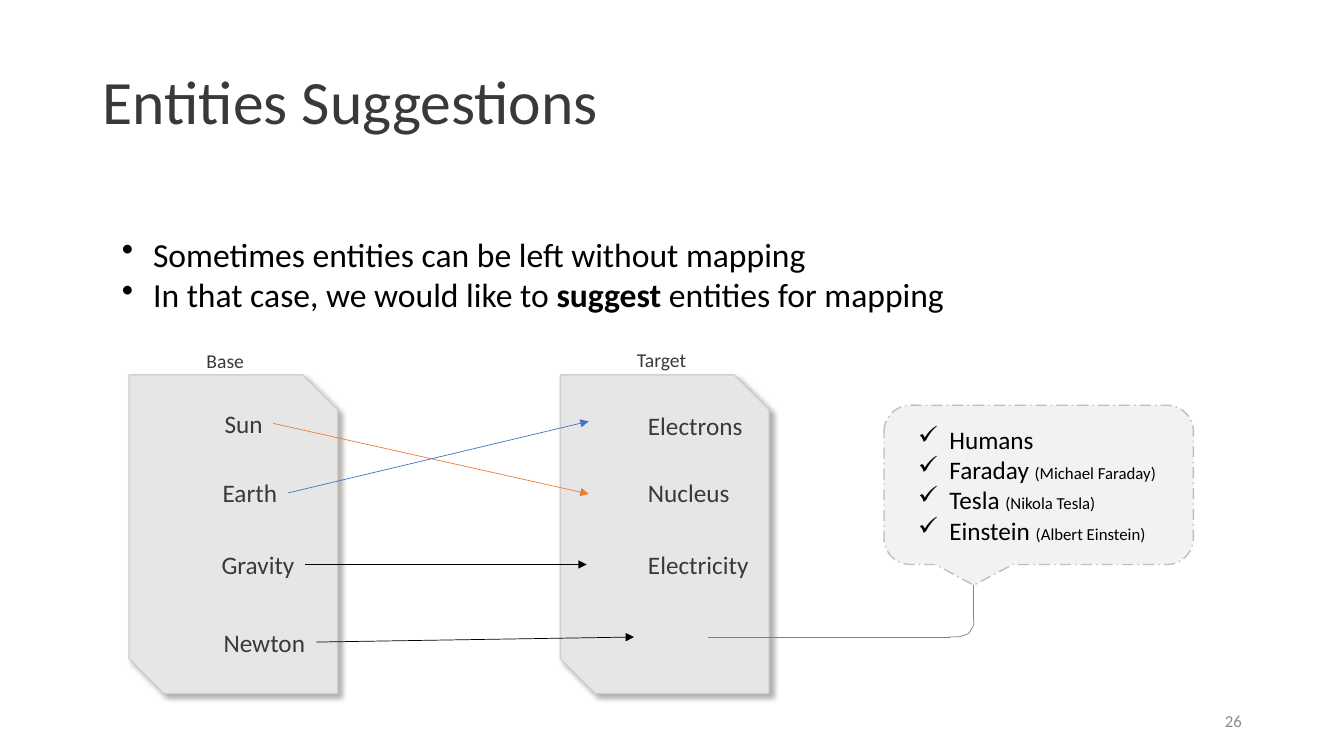
from lxml import etree
from pptx import Presentation, util as u
from pptx.dml import color as c
from pptx.enum import dml, shapes, text
from pptx.oxml import ns

HUES = {
    "ink": "3B3838", "black": "000000", "page": "8C8C8C", "wire": "808080",
    "panel": "E7E6E6", "edge": "D0CECE", "shade": "AFABAB",
    "note": "F2F2F2", "dash": "BFBFBF", "orange": "ED7D31", "blue": "4472C4",
}
COLS, ROWS = 40, 22.5


def rgb(hue):
    return c.RGBColor.from_string(HUES[hue])


def node(up, tag, **attrs):
    """Append a drawing element to an XML parent."""
    sub = etree.SubElement(up, ns.qn("a:" + tag))
    for key, val in attrs.items():
        sub.set(key, str(val))
    return sub


def write(frame, paras, size=18, hue="ink", align=None, lead=None, mark=None):
    """Fill a frame; each paragraph is a list of (words, size, bold) runs."""
    for i, runs in enumerate(paras):
        para = frame.add_paragraph() if i else frame.paragraphs[0]
        para.alignment = align
        para.line_spacing = lead
        if mark:
            props = para._p.get_or_add_pPr()
            props.set("marL", str(u.Inches(0.31)))
            props.set("indent", str(-u.Inches(0.31)))
            node(props, "buChar", char=mark)
        for words, own, bold in runs:
            run = para.add_run()
            run.text = words
            run.font.name = "Calibri"
            run.font.size = u.Pt(own or size)
            run.font.bold = bold
            run.font.color.rgb = rgb(hue)


class Board:
    """Holds the slide and its grid of 40 columns by 22.5 rows."""

    def __init__(self, deck):
        self.slide = deck.slides.add_slide(deck.slide_layouts[6])
        self.items = self.slide.shapes
        self.col = deck.slide_width / COLS
        self.row = deck.slide_height / ROWS

    def place(self, *spots):
        """Turn alternating columns and rows into lengths."""
        return [round(n * (self.row if i % 2 else self.col))
                for i, n in enumerate(spots)]

    def label(self, spot, paras, wrap=False, **style):
        box = self.items.add_textbox(*self.place(*spot))
        frame = box.text_frame
        frame.word_wrap = wrap
        if wrap:
            frame.vertical_anchor = text.MSO_ANCHOR.MIDDLE
        else:
            frame.auto_size = text.MSO_AUTO_SIZE.SHAPE_TO_FIT_TEXT
        if isinstance(paras, str):
            paras = [[(paras, None, None)]]
        write(frame, paras, **style)
        return box

    def block(self, kind, spot, fill, edge):
        item = self.items.add_shape(kind, *self.place(*spot))
        item.shadow.inherit = False
        item.fill.solid()
        item.fill.fore_color.rgb = rgb(fill)
        item.line.color.rgb = rgb(edge)
        item.line.width = u.Pt(1)
        return item

    def panel(self, x):
        item = self.block(shapes.MSO_SHAPE.SNIP_2_DIAG_RECTANGLE,
                          (x, 11.16, 6.21, 9.48), "panel", "edge")
        glow = item._element.spPr.find(ns.qn("a:effectLst"))
        cast = node(glow, "outerShdw", blurRad=u.Pt(4), dist=u.Pt(4),
                    dir=47 * 60000, algn="tl", rotWithShape=0)
        node(cast, "srgbClr", val=HUES["shade"])

    def callout(self, spot, tip):
        item = self.block(shapes.MSO_SHAPE.ROUNDED_RECTANGULAR_CALLOUT,
                          spot, "note", "dash")
        item.line.dash_style = dml.MSO_LINE.LONG_DASH_DOT
        item.adjustments[0], item.adjustments[1] = tip

    def line(self, start, end, hue, source=None, head=False):
        link = self.items.add_connector(
            shapes.MSO_CONNECTOR.STRAIGHT, *self.place(*start, *end))
        if source is not None:
            link.begin_connect(source, 3)
        link.line.color.rgb = rgb(hue)
        link.line.width = u.Pt(0.5)
        if head:
            node(link.line._get_or_add_ln(), "tailEnd", type="triangle")
        node(link._element.spPr, "effectLst")

    def curve(self, spots, hue):
        first, *rest = [self.place(*spot) for spot in spots]
        pen = self.items.build_freeform(*first)
        pen.add_line_segments(rest, close=False)
        item = pen.convert_to_shape()
        item.shadow.inherit = False
        item.fill.background()
        item.line.color.rgb = rgb(hue)
        item.line.width = u.Pt(0.5)


def main():
    deck = Presentation()
    deck.slide_width, deck.slide_height = u.Inches(13.33), u.Inches(7.5)
    board = Board(deck)

    board.label((2.76, 0.93, 34.5, 4.35), "Entities Suggestions",
                wrap=True, size=44, lead=0.9)
    board.label((28.26, 20.85, 9, 1.2), "26", wrap=True, size=12,
                hue="page", align=text.PP_ALIGN.RIGHT)
    board.label((3.33, 6.81, 25.26, 2.73), [
        [("Sometimes entities can be left without mapping", None, None)],
        [("In that case, we would like to ", None, None),
         ("suggest ", None, True),
         ("entities for mapping", None, False)],
    ], size=24, hue="black", mark="•")

    for x in (16.68, 3.84):
        board.panel(x)
    board.label((5.85, 10.23, 1.74, 1.02), "Base", size=14)
    board.label((18.66, 10.2, 2.1, 1.02), "Target", size=14)

    for word, y, wide in (("Electrons", 12.06, 3.45),
                          ("Nucleus", 14.07, 3.06),
                          ("Electricity", 16.2, 3.63)):
        board.label((18.99, y, wide, 1.2), word)

    pairs = (
        ("Sun", 6.39, 12, 1.74, (17.52, 14.7), "orange"),
        ("Earth", 6.33, 14.07, 2.25, (17.52, 12.54), "blue"),
        ("Gravity", 6.3, 16.2, 2.79, (17.46, 16.8), "black"),
        ("Newton", 6.36, 18.51, 3.06, (18.87, 18.96), "black"),
    )
    for word, x, y, wide, end, hue in pairs:
        box = board.label((x, y, wide, 1.2), word)
        board.line((x + wide, y + 0.6), end, hue, source=box, head=True)

    board.callout((26.31, 12.06, 9.21, 4.74), (-0.21, 0.63))
    board.line((21.06, 18.96), (28.26, 18.96), "wire")
    board.line((28.98, 17.4), (28.98, 18.42), "wire")
    board.curve(((28.23, 18.96), (28.56, 18.95), (28.8, 18.87), (28.86, 18.81),
                 (28.95, 18.66), (28.98, 18.6), (28.98, 18.42)), "wire")

    names = (("Faraday ", "(Michael Faraday)"), ("Tesla ", "(Nikola Tesla)"),
             ("Einstein ", "(Albert Einstein)"))
    board.label((27.03, 12.48, 7.77, 3.93), [[("Humans", None, None)]] + [
        [(last, None, None), (full, 12, None)] for last, full in names
    ], hue="black", mark="✓")

    deck.save("out.pptx")


if __name__ == "__main__":
    main()
